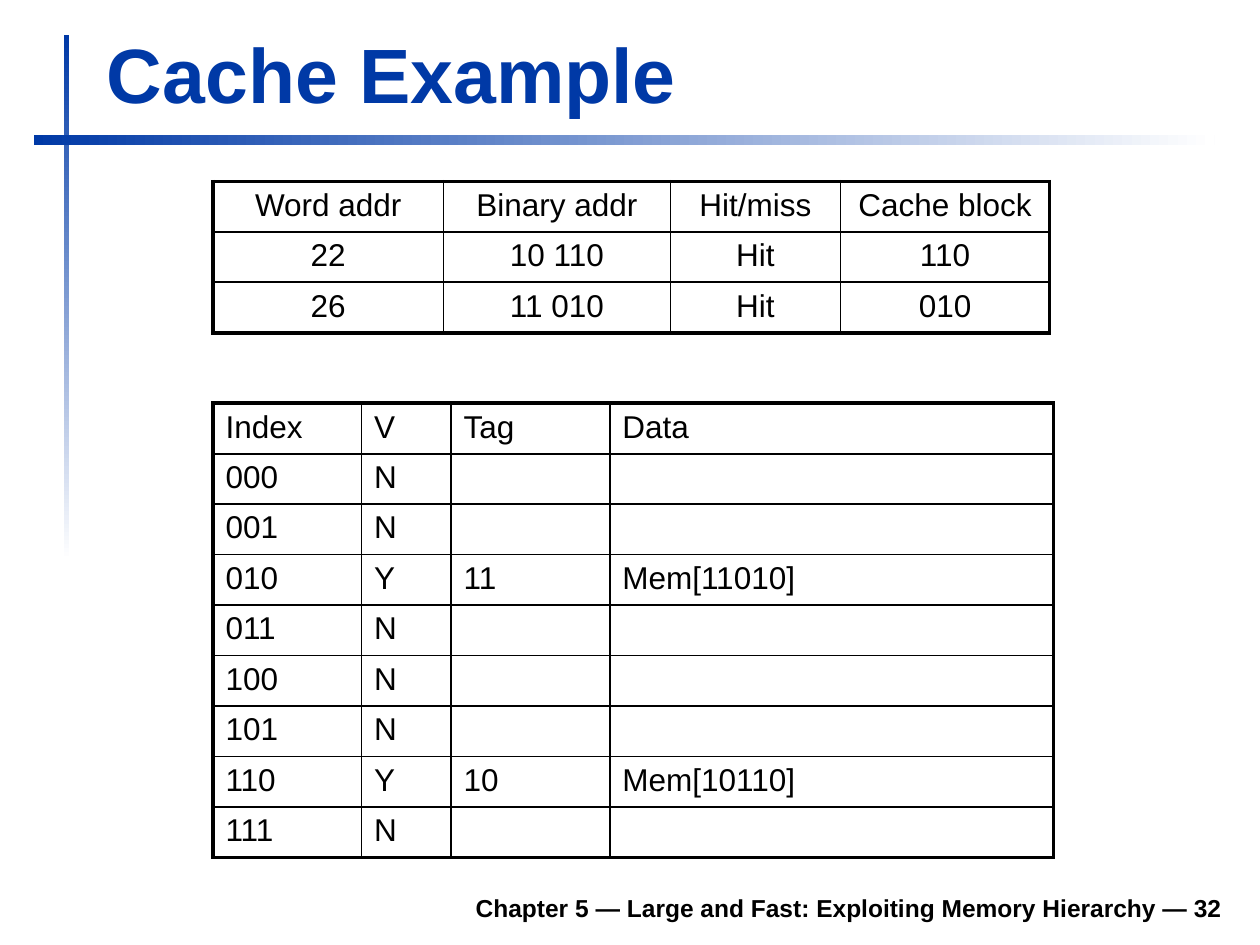
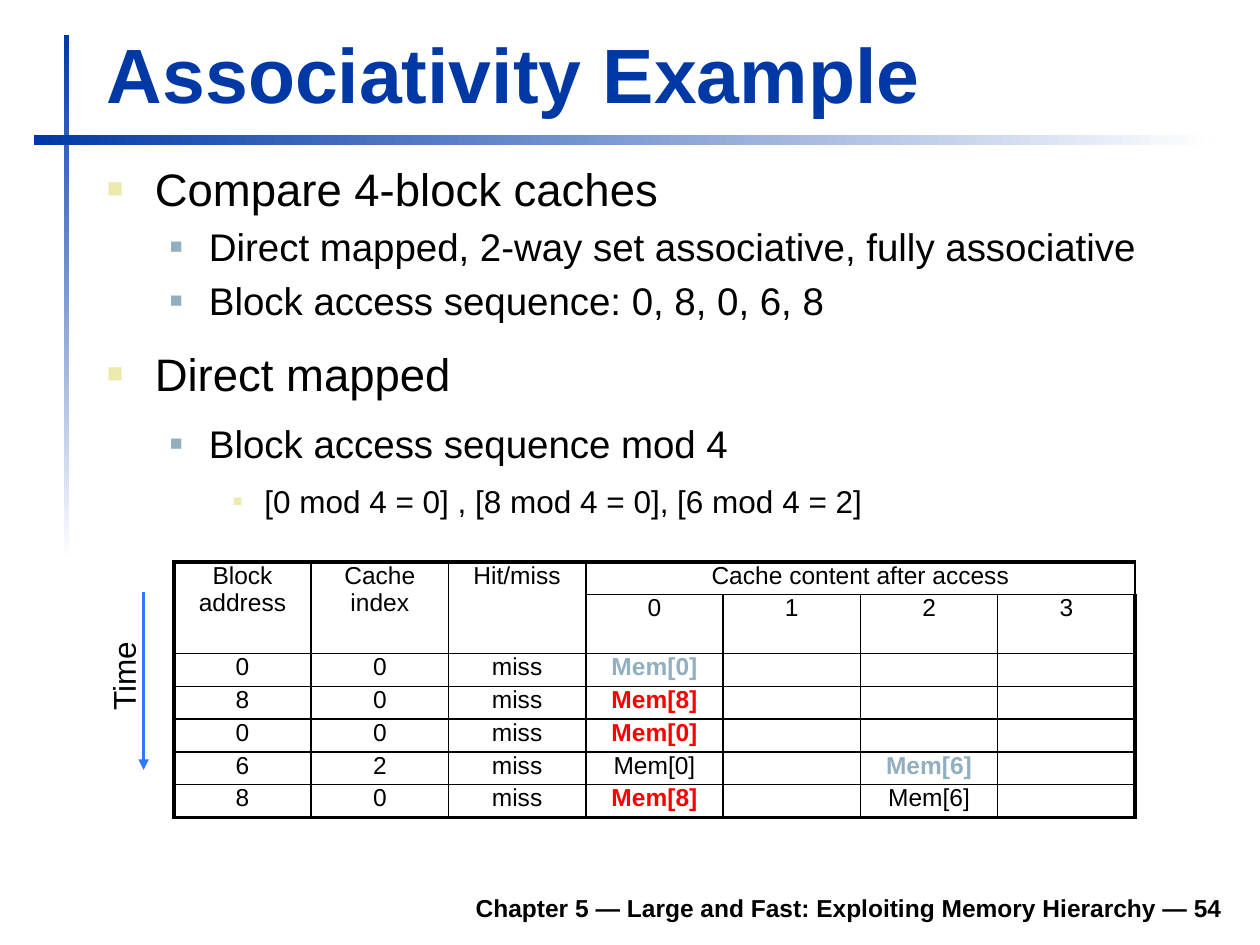
from lxml.etree import SubElement
from pptx import Presentation
from pptx.dml.color import RGBColor
from pptx.enum.shapes import MSO_CONNECTOR, MSO_SHAPE
from pptx.enum.text import MSO_ANCHOR, PP_ALIGN
from pptx.oxml.ns import qn
from pptx.util import Inches, Pt

COLORS = {
    "title": "0039A6",
    "paper": "FFFFFF",
    "ink": "000000",
    "sand": "ECEAAC",
    "steel": "91AFBF",
    "replaced": "FF0000",
    "time": "3177FF",
}
FONT = "Arial"
FOOTER = "Chapter 5 — Large and Fast: Exploiting Memory Hierarchy — {}"
OUTER, MEDIUM, THIN = 2.25, 1.5, 1

LEVELS = [
    {"size": 26, "left": 0.38, "hang": 0.38, "color": "sand", "bullet": 60},
    {"size": 22, "left": 0.81, "hang": 0.31, "color": "steel", "bullet": 55},
    {"size": 18, "left": 1.25, "hang": 0.25, "color": "sand", "bullet": 50},
]


def rgb(name):
    return RGBColor.from_string(COLORS[name])


def style_font(paragraph, size, color="ink", bold=False):
    font = paragraph.font
    font.name = FONT
    font.size = Pt(size)
    font.bold = bold
    font.color.rgb = rgb(color)


def space_before(paragraph, percent):
    spacing = SubElement(paragraph._p.get_or_add_pPr(), qn("a:spcBef"))
    SubElement(spacing, qn("a:spcPct"), val=str(percent * 1000))


def add_text(slide, box, text, size, color="ink", bold=False,
             align=PP_ALIGN.LEFT, anchor=MSO_ANCHOR.TOP, wrap=True):
    label = slide.shapes.add_textbox(*map(Inches, box))
    frame = label.text_frame
    frame.word_wrap = wrap
    frame.vertical_anchor = anchor
    frame.text = text
    paragraph = frame.paragraphs[0]
    paragraph.alignment = align
    style_font(paragraph, size, color, bold)
    return label


def add_band(slide, box, angle):
    band = slide.shapes.add_shape(MSO_SHAPE.RECTANGLE, *map(Inches, box))
    band.shadow.inherit = False
    band.line.fill.background()
    band.fill.gradient()
    band.fill.gradient_angle = angle
    for stop, name in zip(band.fill.gradient_stops, ("title", "paper")):
        stop.color.rgb = rgb(name)


def add_base_slide(presentation, title, number):
    slide = presentation.slides.add_slide(presentation.slide_layouts[6])
    slide.background.fill.solid()
    slide.background.fill.fore_color.rgb = rgb("paper")
    add_band(slide, (0.51, 0.28, 0.04, 4.17), 270)
    add_band(slide, (0.27, 1.07, 9.37, 0.08), 0)
    add_text(slide, (1.85, 6.98, 7.95, 0.39), FOOTER.format(number), 14,
             bold=True, align=PP_ALIGN.RIGHT, anchor=MSO_ANCHOR.BOTTOM)
    add_text(slide, (0.75, 0.16, 9.03, 0.83), title, 44, "title", True,
             anchor=MSO_ANCHOR.BOTTOM)
    return slide


def add_outline(slide, box, items):
    frame = slide.shapes.add_textbox(*map(Inches, box)).text_frame
    frame.word_wrap = True
    for index, (depth, gap, text) in enumerate(items):
        level = LEVELS[depth]
        paragraph = frame.add_paragraph() if index else frame.paragraphs[0]
        paragraph.text = text
        paragraph.level = depth
        properties = paragraph._p.get_or_add_pPr()
        properties.set("marL", str(Inches(level["left"])))
        properties.set("indent", str(-Inches(level["hang"])))
        space_before(paragraph, gap)
        bullet_color = SubElement(properties, qn("a:buClr"))
        SubElement(bullet_color, qn("a:srgbClr"), val=COLORS[level["color"]])
        SubElement(properties, qn("a:buSzPct"), val=str(level["bullet"] * 1000))
        SubElement(properties, qn("a:buFont"), typeface=FONT)
        SubElement(properties, qn("a:buChar"), char="■")
        style_font(paragraph, level["size"])


def set_borders(cell, left, right, top, bottom):
    properties = cell._tc.get_or_add_tcPr()
    for side, width in zip("LRTB", (left, right, top, bottom)):
        line = SubElement(properties, qn(f"a:ln{side}"), w=str(Pt(width)))
        fill = SubElement(line, qn("a:solidFill"))
        SubElement(fill, qn("a:srgbClr"), val=COLORS["ink"])


def add_grid(slide, corner, widths, row_height, rows, size=18,
             align=PP_ALIGN.LEFT, header_line=THIN, row_line=THIN,
             margin=0.05, merges=(), accents=None):
    accents = accents or {}
    last_row, last_col = len(rows) - 1, len(widths) - 1
    extent = (sum(widths), row_height * len(rows))
    table = slide.shapes.add_table(
        len(rows), len(widths), *map(Inches, corner + extent)).table
    table.first_row = table.horz_banding = False
    for column, width in zip(table.columns, widths):
        column.width = Inches(width)
    rules = [OUTER, header_line] + [row_line] * (last_row - 1) + [OUTER]
    for r, row in enumerate(rows):
        table.rows[r].height = Inches(row_height)
        for c, text in enumerate(row):
            cell = table.cell(r, c)
            cell.margin_top = cell.margin_bottom = Inches(margin)
            set_borders(cell, THIN if c else OUTER,
                        THIN if c < last_col else OUTER,
                        rules[r], rules[r + 1])
            cell.fill.background()
            cell.text = text
            paragraph = cell.text_frame.paragraphs[0]
            paragraph.alignment = align
            space_before(paragraph, 20)
            style_font(paragraph, size, accents.get((r, c), "ink"),
                       (r, c) in accents)
            if not text:
                SubElement(paragraph._p, qn("a:endParaRPr"), sz=str(size * 100))
    for first, last in merges:
        table.cell(*first).merge(table.cell(*last))


def add_arrow(slide, start, end, color, width):
    arrow = slide.shapes.add_connector(
        MSO_CONNECTOR.STRAIGHT, *map(Inches, start + end))
    arrow.line.color.rgb = rgb(color)
    arrow.line.width = Pt(width)
    SubElement(arrow.line._get_or_add_ln(), qn("a:tailEnd"), type="triangle")
    SubElement(arrow._element.spPr, qn("a:effectLst"))


def build_cache_example(presentation):
    slide = add_base_slide(presentation, "Cache Example", 32)
    stored = {"010": ("11", "Mem[11010]"), "110": ("10", "Mem[10110]")}
    cache_rows = [("Index", "V", "Tag", "Data")]
    for number in range(8):
        index = f"{number:03b}"
        valid = "Y" if index in stored else "N"
        cache_rows.append((index, valid, *stored.get(index, ("", ""))))
    add_grid(slide, (1.69, 3.2), (1.18, 0.71, 1.26, 3.52), 0.4, cache_rows,
             header_line=MEDIUM)
    accesses = [
        ("Word addr", "Binary addr", "Hit/miss", "Cache block"),
        ("22", "10 110", "Hit", "110"),
        ("26", "11 010", "Hit", "010"),
    ]
    add_grid(slide, (1.69, 1.44), (1.83, 1.8, 1.35, 1.66), 0.4, accesses,
             align=PP_ALIGN.CENTER, header_line=MEDIUM, row_line=MEDIUM)


def build_associativity_example(presentation):
    slide = add_base_slide(presentation, "Associativity Example", 54)
    add_outline(slide, (0.75, 1.23, 9.05, 3.07), [
        (0, 20, "Compare 4-block caches"),
        (1, 20, "Direct mapped, 2-way set associative, fully associative"),
        (1, 20, "Block access sequence: 0, 8, 0, 6, 8"),
        (0, 50, "Direct mapped"),
        (1, 50, "Block access sequence mod 4"),
        (2, 50, "[0 mod 4 = 0] , [8 mod 4 = 0], [6 mod 4 = 2]"),
    ])
    accesses = [
        ("Block address", "Cache index", "Hit/miss",
         "Cache content after access", "", "", ""),
        ("", "", "", "0", "1", "2", "3"),
        ("0", "0", "miss", "Mem[0]", "", "", ""),
        ("8", "0", "miss", "Mem[8]", "", "", ""),
        ("0", "0", "miss", "Mem[0]", "", "", ""),
        ("6", "2", "miss", "Mem[0]", "", "Mem[6]", ""),
        ("8", "0", "miss", "Mem[8]", "", "Mem[6]", ""),
    ]
    merges = [((0, c), (1, c)) for c in range(3)] + [((0, 3), (0, 6))]
    accents = {(2, 3): "steel", (5, 5): "steel"}
    accents.update({(r, 3): "replaced" for r in (3, 4, 6)})
    add_grid(slide, (1.38, 4.46), (1.09,) * 7, 0.26, accesses, size=14,
             align=PP_ALIGN.CENTER, margin=0, merges=merges, accents=accents)
    add_arrow(slide, (1.14, 4.7), (1.14, 6.11), "time", 2)
    time_label = add_text(slide, (0.6, 5.16, 0.76, 0.4), "Time", 18, wrap=False)
    time_label.rotation = 270


def main():
    presentation = Presentation()
    presentation.slide_width = Inches(10)
    presentation.slide_height = Inches(7.5)
    build_cache_example(presentation)
    build_associativity_example(presentation)
    presentation.save("out.pptx")


if __name__ == "__main__":
    main()
